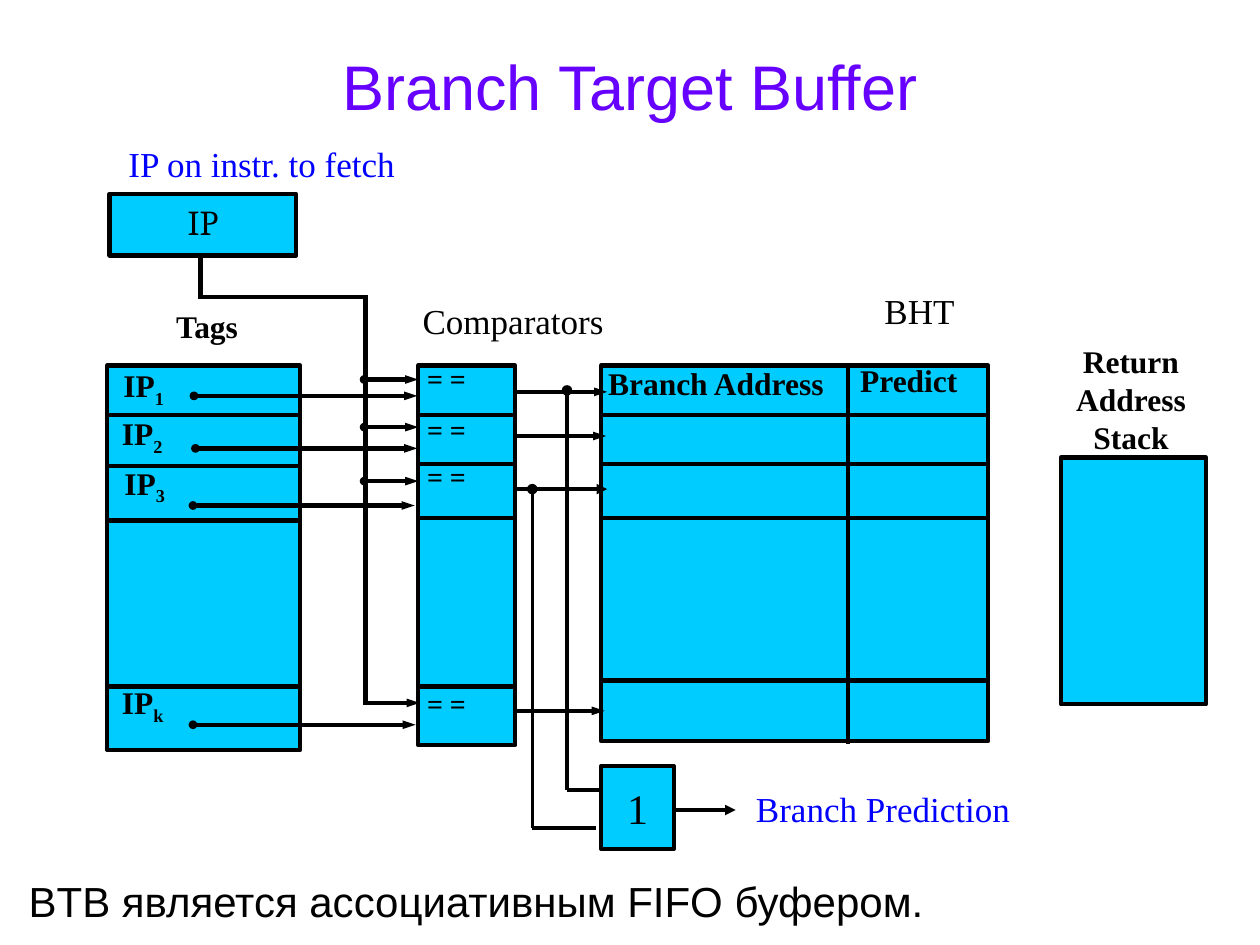
from dataclasses import dataclass

from lxml.etree import SubElement
from pptx import Presentation
from pptx.dml.color import RGBColor as Rgb
from pptx.enum.shapes import MSO_CONNECTOR as Connector, MSO_SHAPE as Preset
from pptx.enum.text import MSO_ANCHOR as Anchor, PP_ALIGN as Align
from pptx.oxml.ns import qn
from pptx.util import Cm, Pt


@dataclass(frozen=True)
class Theme:
    black: Rgb = Rgb.from_string("000000")
    blue: Rgb = Rgb.from_string("0000FF")
    violet: Rgb = Rgb.from_string("6600FF")
    cyan: Rgb = Rgb.from_string("00CCFF")
    sans: str = "Arial"
    serif: str = "Times New Roman"
    register: str = "Cambria"
    title: int = 36
    large: int = 24
    label: int = 20
    field: int = 18
    compare: int = 16
    thick: float = 2.5
    thin: float = 2


THEME = Theme()

# Text formats
PLAIN = {"name": THEME.serif, "size": Pt(THEME.label), "bold": False}
BOLD = {**PLAIN, "size": Pt(THEME.field), "bold": True}
COMPARE = {**BOLD, "size": Pt(THEME.compare)}
REGISTER = {**PLAIN, "name": THEME.register}
LARGE = {**PLAIN, "size": Pt(THEME.large)}
NOTE = {**LARGE, "name": THEME.sans}
TITLE = {**NOTE, "size": Pt(THEME.title)}


def write(shape, text, style, color=THEME.black, align=Align.LEFT,
          anchor=Anchor.TOP, wrap=True, subscript=""):
    frame = shape.text_frame
    for name, value in {"word_wrap": wrap, "vertical_anchor": anchor}.items():
        setattr(frame, name, value)
    paragraph = frame.paragraphs[0]
    paragraph.alignment = align
    paragraph.text = text
    if subscript:
        run = paragraph.add_run()
        run.text = subscript
        run.font._element.set("baseline", "-25000")
    for run in paragraph.runs:
        for name, value in style.items():
            setattr(run.font, name, value)
        run.font.color.rgb = color


def add_label(slide, box, text, style, **options):
    shape = slide.shapes.add_textbox(*map(Cm, box))
    write(shape, text, style, **options)


def add_block(slide, box, width=THEME.thick):
    shape = slide.shapes.add_shape(Preset.RECTANGLE, *map(Cm, box))
    shape.shadow.inherit = False
    shape.fill.solid()
    shape.fill.fore_color.rgb = THEME.cyan
    shape.line.color.rgb = THEME.black
    shape.line.width = Pt(width)
    return shape


def add_wire(slide, x1, y1, x2, y2, width=THEME.thick, dot=False, arrow=False):
    wire = slide.shapes.add_connector(Connector.STRAIGHT, *map(Cm, (x1, y1, x2, y2)))
    wire.line.color.rgb = THEME.black
    wire.line.width = Pt(width)
    line = wire.line._get_or_add_ln()
    end_width = "med" if width == THEME.thin else "sm"
    if dot:
        SubElement(line, qn("a:headEnd"), type="oval", w=end_width, len=end_width)
    if arrow:
        SubElement(line, qn("a:tailEnd"), type="triangle", w=end_width, len="med")
    SubElement(wire._element.spPr, qn("a:effectLst"))


def add_memory(slide, box, row_lines):
    add_block(slide, box)
    left, _, width, _ = box
    for y in row_lines:
        add_wire(slide, left, y, left + width, y)


def add_blocks(slide):
    add_memory(slide, (2.16, 7.37, 3.89, 7.75), (8.36, 9.4, 10.49, 13.84))
    add_memory(slide, (8.43, 7.37, 1.96, 7.65), (8.36, 9.35, 10.44, 13.84))
    add_memory(slide, (12.12, 7.37, 7.8, 7.57), (8.36, 9.35, 10.44, 13.72))
    add_wire(slide, 17.09, 7.37, 17.09, 14.99)
    add_block(slide, (21.39, 9.22, 2.92, 4.98))
    register = add_block(slide, (2.21, 3.91, 3.76, 1.24))
    write(register, "IP", REGISTER, align=Align.CENTER)
    gate = add_block(slide, (12.12, 15.44, 1.47, 1.68), THEME.thin)
    write(gate, "1", LARGE, align=Align.CENTER, anchor=Anchor.MIDDLE, wrap=False)


def add_wires(slide):
    # From the IP register down the bus to each comparator
    add_wire(slide, 4.04, 5.16, 4.04, 5.99)
    add_wire(slide, 3.99, 5.99, 7.42, 5.99)
    add_wire(slide, 7.37, 5.99, 7.37, 14.22)
    add_wire(slide, 7.37, 14.17, 8.46, 14.17, arrow=True)
    for y in (7.65, 8.61, 9.7):
        add_wire(slide, 7.34, y, 8.43, y, dot=True, arrow=True)

    # From the tags to the comparators
    for x, y, end in ((3.91, 7.98, 8.41), (3.94, 9.04, 8.41),
                      (3.89, 10.19, 8.36), (3.89, 14.61, 8.38)):
        add_wire(slide, x, y, end, y, dot=True, arrow=True)

    # From the comparators to the branch history table
    for x, y, end, width in ((10.34, 7.9, 12.24, THEME.thick),
                             (10.39, 8.79, 12.22, THEME.thick),
                             (10.41, 9.86, 12.24, THEME.thin),
                             (10.36, 14.33, 12.19, THEME.thick)):
        add_wire(slide, x, y, end, y, width, arrow=True)

    # Into and out of the gate
    for x, top, bottom, end in ((11.43, 7.87, 15.93, 12.07),
                                (10.73, 9.86, 16.69, 12.01)):
        add_wire(slide, x, top, x, bottom, THEME.thin, dot=True)
        add_wire(slide, x, bottom, end, bottom, THEME.thin)
    add_wire(slide, 13.56, 16.33, 14.83, 16.33, THEME.thin, arrow=True)


def add_labels(slide):
    # Headings
    center = {"align": Align.CENTER}
    add_label(slide, (1.27, 0.13, 22.86, 3.18), "Branch Target Buffer", TITLE,
              color=THEME.violet, anchor=Anchor.MIDDLE, **center)
    add_label(slide, (7.54, 5.92, 5.61, 1.24), "Comparators", PLAIN, **center)
    add_label(slide, (2.13, 6.07, 4.09, 1.24), "Tags", BOLD, **center)
    add_label(slide, (21.16, 6.78, 3.28, 1.65), "Return Address\vStack", BOLD, **center)
    add_label(slide, (17.58, 5.72, 2.36, 1.12), "BHT", PLAIN)

    # Memory fields
    for x, y, index in ((2.24, 7.26, "1"), (2.21, 8.23, "2"),
                        (2.26, 9.22, "3"), (2.21, 13.64, "k")):
        add_label(slide, (x, y, 1.96, 1.52), "IP", BOLD, subscript=index)
    for y in (7.16, 8.2, 9.14, 13.72):
        add_label(slide, (8.36, y, 1.96, 1.24), "= =", COMPARE)
    add_label(slide, (12.01, 7.21, 5.31, 1.52), "Branch Address", BOLD)
    add_label(slide, (17.09, 7.16, 3.4, 1.5), "Predict", BOLD)

    # Input, output and closing note
    add_label(slide, (2.34, 2.74, 6.55, 1.12), "IP on instr. to fetch", PLAIN,
              color=THEME.blue)
    add_label(slide, (14.99, 15.75, 6.55, 1.12), "Branch Prediction", PLAIN,
              color=THEME.blue)
    add_label(slide, (0.33, 17.53, 24.56, 1.27),
              "BTB является ассоциативным FIFO буфером.", NOTE)


def main():
    presentation = Presentation()
    presentation.slide_width, presentation.slide_height = Cm(25.4), Cm(19.05)
    slide = presentation.slides.add_slide(presentation.slide_layouts[6])
    add_blocks(slide)
    add_wires(slide)
    add_labels(slide)
    presentation.save("out.pptx")


if __name__ == "__main__":
    main()
